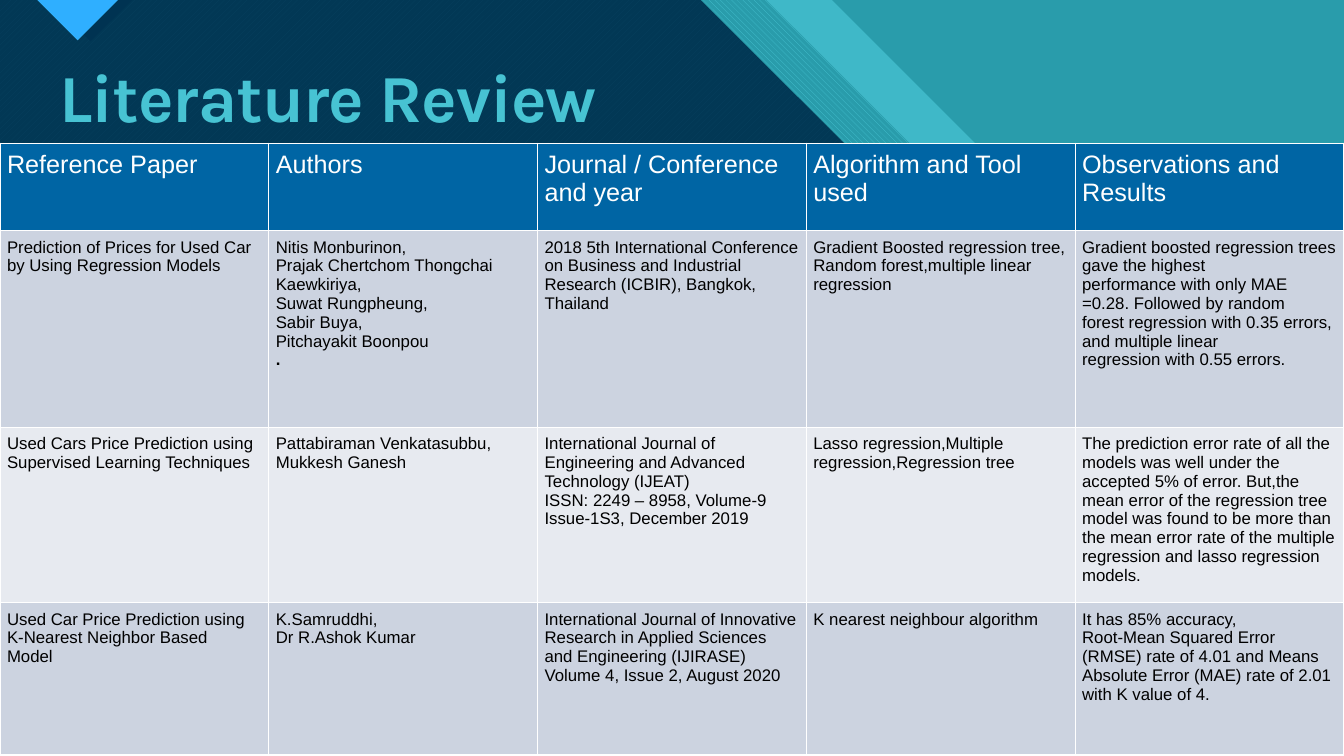
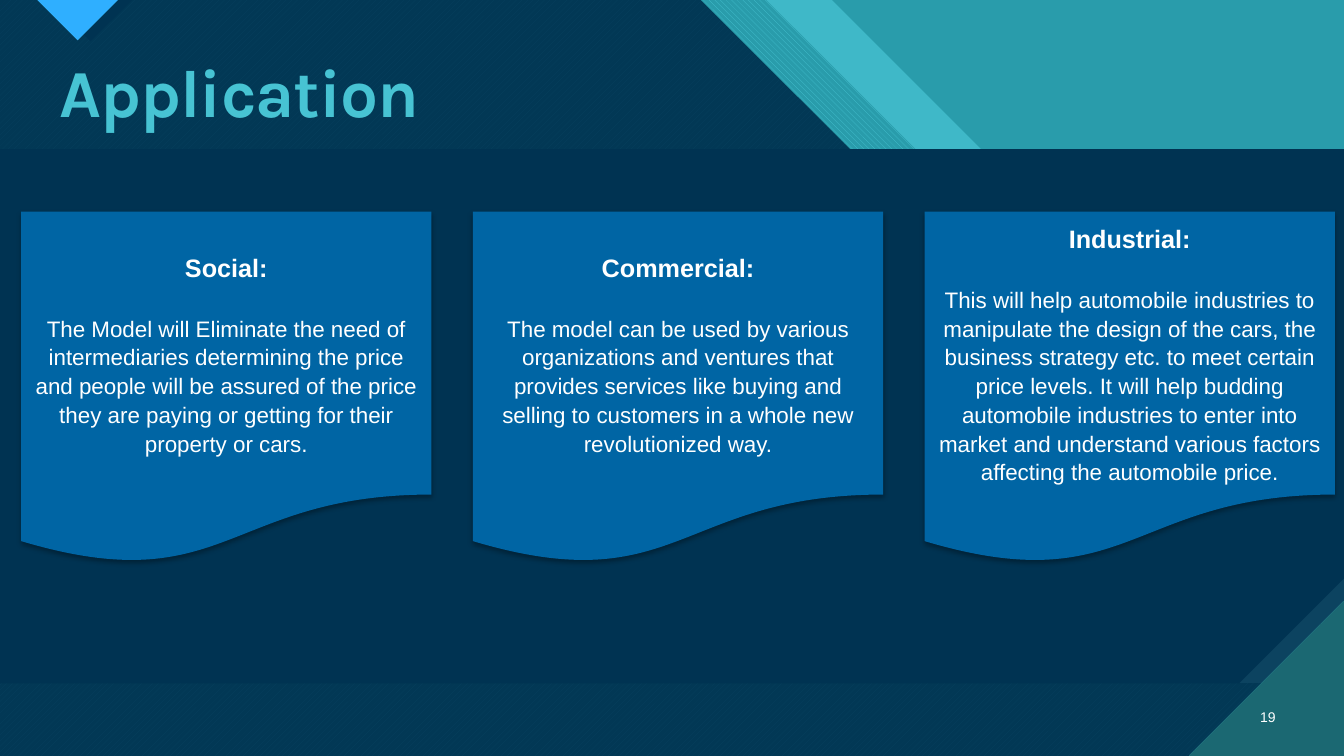
"""Build two slides, a literature review table and an application overview."""
from lxml import etree
from pptx import Presentation
from pptx import util as u
from pptx.dml.color import RGBColor
from pptx.enum import dml, shapes, text
from pptx.oxml.ns import qn

WIDTH, HEIGHT = 13.33, 7.5
BAND, FOOTER = 1.48, 6.78
TEAL = RGBColor(0x29, 0x9C, 0xAB)
AQUA = RGBColor(0x47, 0xC3, 0xD3)
PINE = RGBColor(0x1B, 0x68, 0x72)
NAVY = RGBColor(0x00, 0x33, 0x52)
SLATE = RGBColor(0x0C, 0x43, 0x60)
SKY = RGBColor(0x2F, 0xAF, 0xFF)
BLUE = RGBColor(0x00, 0x65, 0xA4)
WHITE = RGBColor(0xFF, 0xFF, 0xFF)
BLACK = RGBColor(0, 0, 0)
ROW_FILLS = (RGBColor(0xCC, 0xD3, 0xE0), RGBColor(0xE7, 0xEA, 0xF0))
PATTERN = dml.MSO_PATTERN

HEADINGS = ["Reference Paper", "Authors", "Journal / Conference and year",
            "Algorithm and Tool used", "Observations and Results"]
PAPERS = [
    ["Prediction of Prices for Used Car by Using Regression Models",
     "Nitis Monburinon,\nPrajak Chertchom Thongchai Kaewkiriya,\n"
     "Suwat Rungpheung,\nSabir Buya,\nPitchayakit Boonpou\n.",
     "2018 5th International Conference on Business and Industrial Research "
     "(ICBIR), Bangkok, Thailand",
     "Gradient Boosted regression tree,\nRandom forest,multiple linear regression",
     "Gradient boosted regression trees gave the highest\n"
     "performance with only MAE =0.28. Followed by random\n"
     "forest regression with 0.35 errors, and multiple linear\n"
     "regression with 0.55 errors."],
    ["Used Cars Price Prediction using Supervised Learning Techniques",
     "Pattabiraman Venkatasubbu, Mukkesh Ganesh",
     "International Journal of Engineering and Advanced Technology (IJEAT)\n"
     "ISSN: 2249 – 8958, Volume-9 Issue-1S3, December 2019",
     "Lasso regression,Multiple regression,Regression tree",
     "The prediction error rate of all the models was well under the accepted "
     "5% of error. But,the mean error of the regression tree model was found to "
     "be more than the mean error rate of the multiple regression and lasso "
     "regression models."],
    ["Used Car Price Prediction using K-Nearest Neighbor Based\nModel",
     "K.Samruddhi,\nDr R.Ashok Kumar",
     "International Journal of Innovative Research in Applied Sciences and "
     "Engineering (IJIRASE)\nVolume 4, Issue 2, August 2020",
     "K nearest neighbour algorithm",
     "It has 85% accuracy,\nRoot-Mean Squared Error (RMSE) rate of 4.01 and Means\n"
     "Absolute Error (MAE) rate of 2.01 with K value of 4."],
]
ROW_HEIGHTS = (0.87, 1.95, 1.74, 1.51)
APPLICATIONS = [
    ("Social:",
     "The Model will Eliminate the need of intermediaries determining the price "
     "and people will be assured of the price they are paying or getting for "
     "their property or cars."),
    ("Commercial:",
     "The model can be used by various organizations and ventures that provides "
     "services like buying and selling to customers in a whole new "
     "revolutionized way."),
    ("Industrial:",
     "This will help automobile industries to manipulate the design of the cars, "
     "the business strategy etc. to meet certain price levels. It will help "
     "budding automobile industries to enter into market and understand various "
     "factors affecting the automobile price."),
]


def write(paragraph, words, size=12, color=WHITE, font="Arial", bold=False,
          align=text.PP_ALIGN.LEFT, leading=None, after=0, tracking=None):
    """Put one formatted run into a paragraph."""
    paragraph.alignment = align
    paragraph.space_before, paragraph.space_after = u.Pt(0), u.Pt(after)
    if leading:
        paragraph.line_spacing = leading
    run = paragraph.add_run()
    run.text = words
    run.font.size, run.font.name, run.font.bold = u.Pt(size), font, bold
    run.font.color.rgb = color
    if tracking:
        run.font._element.set("spc", str(int(tracking * 100)))


def set_alpha(color_parent, percent):
    """Make the solid colour below an element partly transparent."""
    color = next(color_parent.iter(qn("a:srgbClr")))
    etree.SubElement(color, qn("a:alpha")).set("val", str(percent * 1000))


def add_shadow(shape, alpha, blur, distance):
    """Give a shape a soft shadow that falls straight down."""
    shape.shadow.inherit = False
    effects = shape.element.spPr.find(qn("a:effectLst"))
    outer = etree.SubElement(effects, qn("a:outerShdw"), blurRad=str(u.Pt(blur)),
                             dist=str(u.Pt(distance)), dir="5400000", rotWithShape="0")
    etree.SubElement(outer, qn("a:srgbClr"), val=str(BLACK))
    set_alpha(outer, alpha)


def decorate(layout, slide):
    """Move the shared polygons onto the layout, behind its placeholders."""
    def diagonal(edge):
        return [(0, 0), (edge, 0), (edge + BAND, BAND), (WIDTH, BAND),
                (WIDTH, HEIGHT), (0, HEIGHT)]

    snip, corner = 1.04, 1.54
    stage = [(0, BAND), (WIDTH, BAND), (WIDTH, FOOTER), (0, FOOTER)]
    snipped = [*stage[:2], (WIDTH, FOOTER - snip), (WIDTH - snip, FOOTER), stage[3]]
    layers = [
        (diagonal(8.25), AQUA, None, None, 74),
        (diagonal(7.6), AQUA, TEAL, PATTERN.WIDE_DOWNWARD_DIAGONAL, None),
        (diagonal(6.95), AQUA, PINE, PATTERN.WIDE_UPWARD_DIAGONAL, None),
        (diagonal(6.95), NAVY, None, None, 90),
        ([(0.48, 0), (0.9, 0.41), (1.31, 0)], NAVY, None, None, None),
        ([(0.37, 0), (0.77, 0.4), (1.17, 0)], SKY, PINE, PATTERN.DARK_HORIZONTAL, None),
        (stage, SLATE, PINE, PATTERN.DARK_VERTICAL, None),
        (snipped, NAVY, None, None, None),
        ([(WIDTH - corner, HEIGHT), (WIDTH, HEIGHT), (WIDTH, HEIGHT - corner)],
         PINE, AQUA, PATTERN.DARK_HORIZONTAL, None),
    ]
    layout.background.fill.solid()
    layout.background.fill.fore_color.rgb = TEAL
    for depth, (outline, front, back, pattern, alpha) in enumerate(layers, 2):
        start, *rest = [(u.Inches(x), u.Inches(y)) for x, y in outline]
        builder = slide.shapes.build_freeform(*start)
        builder.add_line_segments(rest)
        layer = builder.convert_to_shape()
        layer.shadow.inherit = False
        layer.line.fill.background()
        if pattern:
            layer.fill.patterned()
            layer.fill.pattern = pattern
            layer.fill.back_color.rgb = back
        else:
            layer.fill.solid()
        layer.fill.fore_color.rgb = front
        if alpha:
            set_alpha(layer.element.spPr, alpha)
        layout.shapes.element.insert(depth, layer.element)


def add_title(slide, words, top):
    """Fill the title placeholder in the shared style."""
    title = slide.shapes.title
    title.left, title.top = u.Inches(0.49), u.Inches(top)
    title.width, title.height = u.Inches(12.26), u.Inches(0.83)
    title.text_frame.vertical_anchor = text.MSO_ANCHOR.TOP
    write(title.text_frame.paragraphs[0], words, size=48, color=AQUA, font="Karla",
          bold=True, leading=0.9, tracking=-0.7)


def add_review(slide):
    """Add the table of reference papers."""
    top = HEIGHT - sum(ROW_HEIGHTS) - 0.01
    table = slide.shapes.add_table(
        len(PAPERS) + 1, len(HEADINGS), 0, u.Inches(top),
        u.Inches(WIDTH), u.Inches(sum(ROW_HEIGHTS))).table
    for row, height in zip(table.rows, ROW_HEIGHTS):
        row.height = u.Inches(height)
    for r, entries in enumerate([HEADINGS, *PAPERS]):
        for c, entry in enumerate(entries):
            cell = table.cell(r, c)
            cell.margin_left = cell.margin_right = u.Inches(0.07)
            cell.margin_top = cell.margin_bottom = u.Inches(0.07)
            cell.fill.solid()
            cell.fill.fore_color.rgb = ROW_FILLS[(r - 1) % 2] if r else BLUE
            for i, line in enumerate(entry.split("\n")):
                frame = cell.text_frame
                paragraph = frame.add_paragraph() if i else frame.paragraphs[0]
                write(paragraph, line, size=12 if r else 18,
                      color=BLACK if r else WHITE, bold=line == ".")


def add_cards(slide):
    """Add one document-shaped card per application."""
    left, pitch, width = 0.21, 4.48, 4.07
    for i, (heading, body) in enumerate(APPLICATIONS):
        card = slide.shapes.add_shape(
            shapes.MSO_SHAPE.FLOWCHART_DOCUMENT, u.Inches(left + i * pitch),
            u.Inches(2.1), u.Inches(width), u.Inches(3.5))
        card.fill.solid()
        card.fill.fore_color.rgb = BLUE
        card.line.fill.background()
        add_shadow(card, alpha=32, blur=3.5, distance=2.2)
        frame = card.text_frame
        frame.word_wrap = True
        frame.vertical_anchor = text.MSO_ANCHOR.MIDDLE
        centre = text.PP_ALIGN.CENTER
        write(frame.paragraphs[0], heading, size=18, bold=True, align=centre,
              leading=1.07, after=22)
        write(frame.add_paragraph(), body, size=16, align=centre, leading=1.07)


def add_page_number(slide, number):
    """Put the page number in the bottom right corner."""
    box = slide.shapes.add_textbox(u.Inches(12.31), u.Inches(6.91),
                                   u.Inches(0.44), u.Inches(0.4))
    box.text_frame.word_wrap = True
    box.text_frame.vertical_anchor = text.MSO_ANCHOR.MIDDLE
    write(box.text_frame.paragraphs[0], number, size=10, align=text.PP_ALIGN.RIGHT)


def main():
    """Assemble and save the presentation."""
    deck = Presentation()
    deck.slide_width, deck.slide_height = u.Inches(WIDTH), u.Inches(HEIGHT)
    layout = deck.slide_layouts.get_by_name("Title Only")
    review, application = [deck.slides.add_slide(layout) for _ in range(2)]
    decorate(layout, review)
    add_title(review, "Literature Review", 0.59)
    add_review(review)
    add_title(application, "Application", 0.54)
    add_page_number(application, "19")
    add_cards(application)
    deck.save("out.pptx")


if __name__ == "__main__":
    main()
